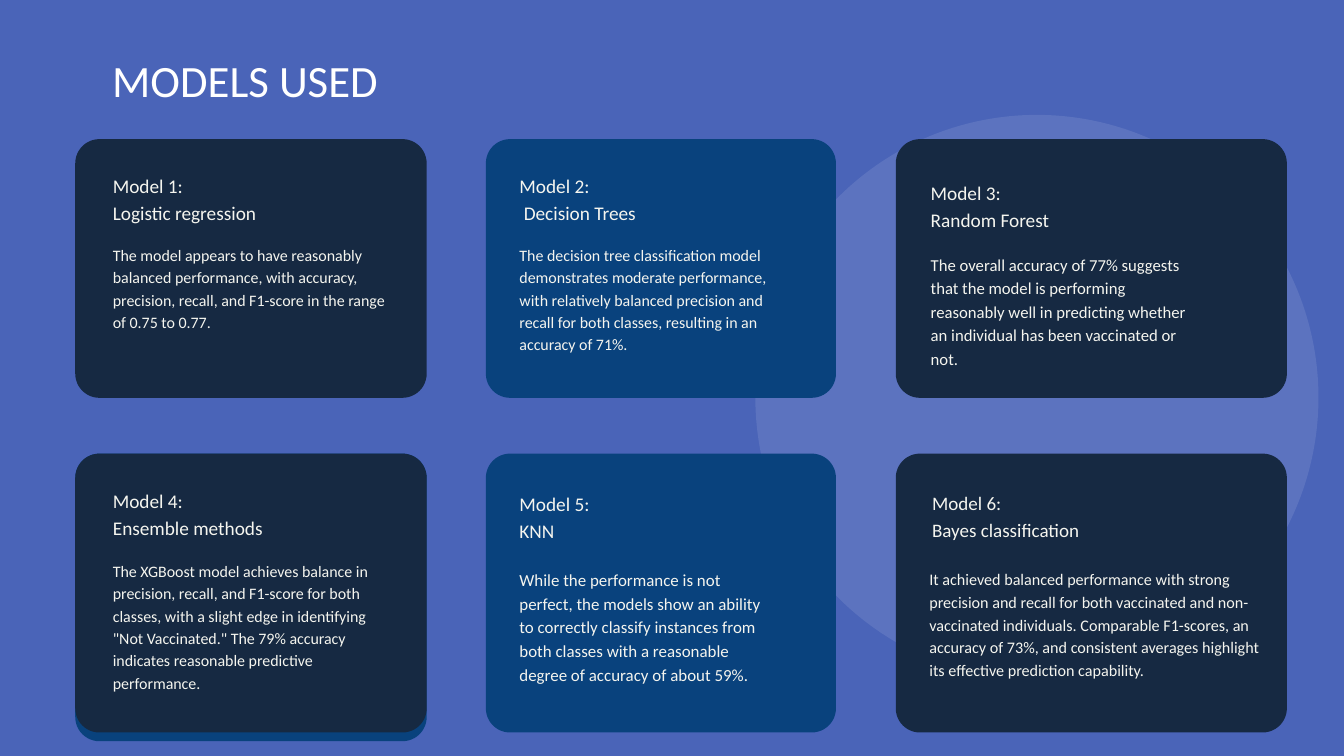
from pptx import Presentation
from pptx.dml.color import RGBColor
from pptx.enum.shapes import MSO_SHAPE
from pptx.enum.text import MSO_ANCHOR, MSO_AUTO_SIZE, PP_ALIGN
from pptx.oxml.ns import qn
from pptx.util import Inches, Pt
from lxml.etree import SubElement

PERIWINKLE = RGBColor(0x4A, 0x64, 0xB8)
NAVY = RGBColor(0x16, 0x29, 0x42)
BLUE = RGBColor(0x09, 0x42, 0x7D)
IVORY = RGBColor(0xF5, 0xF5, 0xEF)
WHITE = RGBColor(0xFF, 0xFF, 0xFF)

COLUMNS = [(1.12, 5.23, NAVY), (7.23, 5.21, BLUE), (13.33, 5.82, NAVY)]
ROWS = [(2.07, 3.85), (6.75, 4.15)]

MODELS = [
    ("Model 1:\nLogistic regression", (1.68, 2.54, 4.23), 20.7,
     "The model appears to have reasonably balanced performance, with accuracy, "
     "precision, recall, and F1-score in the range of 0.75 to 0.77.",
     (1.68, 3.61, 4.23), 17.1),
    ("Model 2:\n Decision Trees", (7.73, 2.54, 2.62), 20.7,
     "The decision tree classification model demonstrates moderate performance, "
     "with relatively balanced precision and recall for both classes, resulting "
     "in an accuracy of 71%.",
     (7.73, 3.61, 3.82), 17.1),
    ("Model 3:\nRandom Forest", (13.85, 2.64, 2.75), 20.7,
     "The overall accuracy of 77% suggests that the model is performing reasonably "
     "well in predicting whether an individual has been vaccinated or not.",
     (13.85, 3.74, 4.01), 17.9),
    ("Model 4:\nEnsemble methods", (1.68, 7.22, 4.23), 20.7,
     "The XGBoost model achieves balance in precision, recall, and F1-score for both "
     "classes, with a slight edge in identifying \"Not Vaccinated.\" The 79% accuracy "
     "indicates reasonable predictive performance.",
     (1.68, 8.31, 4.23), 17.1),
    ("Model 5:\nKNN", (7.73, 7.26, 2.62), 20.7,
     "While the performance is not perfect, the models show an ability to correctly "
     "classify instances from both classes with a reasonable degree of accuracy of "
     "about 59%.",
     (7.73, 8.43, 3.82), 18.1),
    ("Model 6:\nBayes classification", (13.87, 7.26, 2.85), 20.4,
     "It achieved balanced performance with strong precision and recall for both "
     "vaccinated and non-vaccinated individuals. Comparable F1-scores, an accuracy "
     "of 73%, and consistent averages highlight its effective prediction capability.",
     (13.83, 8.43, 4.95), 17.3),
]


class ModelSlide:
    """Draw the elements of one slide in a shared style."""

    font = "Calibri"
    corner = 0.36
    leading = 1.4

    def __init__(self, deck):
        self.slide = deck.slides.add_slide(deck.slide_layouts[5])
        background = self.slide.background.fill
        background.solid()
        background.fore_color.rgb = PERIWINKLE

    def typeset(self, frame, text, size, color, leading):
        frame.text = text
        frame.word_wrap = True
        frame.auto_size = MSO_AUTO_SIZE.NONE
        frame.vertical_anchor = MSO_ANCHOR.TOP
        frame.margin_left = frame.margin_right = 0
        frame.margin_top = frame.margin_bottom = 0
        for paragraph in frame.paragraphs:
            paragraph.alignment = PP_ALIGN.LEFT
            paragraph.line_spacing = Pt(round(size * leading, 1))
            for run in paragraph.runs:
                run.font.name = self.font
                run.font.size = Pt(size)
                run.font.color.rgb = color

    def title(self, text, left, top, width, height):
        heading = self.slide.shapes.title
        heading.left, heading.top = Inches(left), Inches(top)
        heading.width, heading.height = Inches(width), Inches(height)
        self.typeset(heading.text_frame, text, 48, WHITE, 1.2)

    def text(self, text, left, top, width, height, size):
        box = self.slide.shapes.add_textbox(
            Inches(left), Inches(top), Inches(width), Inches(height))
        self.typeset(box.text_frame, text, size, IVORY, self.leading)

    def shape(self, preset, left, top, width, height, color):
        panel = self.slide.shapes.add_shape(
            preset, Inches(left), Inches(top), Inches(width), Inches(height))
        panel.shadow.inherit = False
        panel.fill.solid()
        panel.fill.fore_color.rgb = color
        panel.line.fill.background()
        return panel

    def card(self, left, top, width, height, color):
        panel = self.shape(MSO_SHAPE.ROUNDED_RECTANGLE, left, top, width, height, color)
        panel.adjustments[0] = self.corner / min(width, height)

    def halo(self, left, top, width, height, opacity):
        circle = self.shape(MSO_SHAPE.OVAL, left, top, width, height, WHITE)
        tint = circle.element.spPr.find(qn("a:solidFill"))[0]
        SubElement(tint, qn("a:alpha")).set("val", str(opacity * 1000))


def main():
    deck = Presentation()
    deck.slide_width, deck.slide_height = Inches(20), Inches(11.25)
    page = ModelSlide(deck)
    page.title("MODELS USED", 1.67, 0.79, 11.86, 0.79)
    page.halo(11.24, 1.71, 8.38, 8.41, 10)
    page.card(1.12, 6.75, 5.23, 4.28, BLUE)
    cells = [(column, row) for row in ROWS for column in COLUMNS]
    for ((left, width, color), (top, height)), model in zip(cells, MODELS):
        name, name_place, name_size, finding, finding_place, finding_size = model
        page.card(left, top, width, height, color)
        page.text(name, *name_place, 0.78, name_size)
        page.text(finding, *finding_place, 2.05, finding_size)
    deck.save("out.pptx")


if __name__ == "__main__":
    main()
